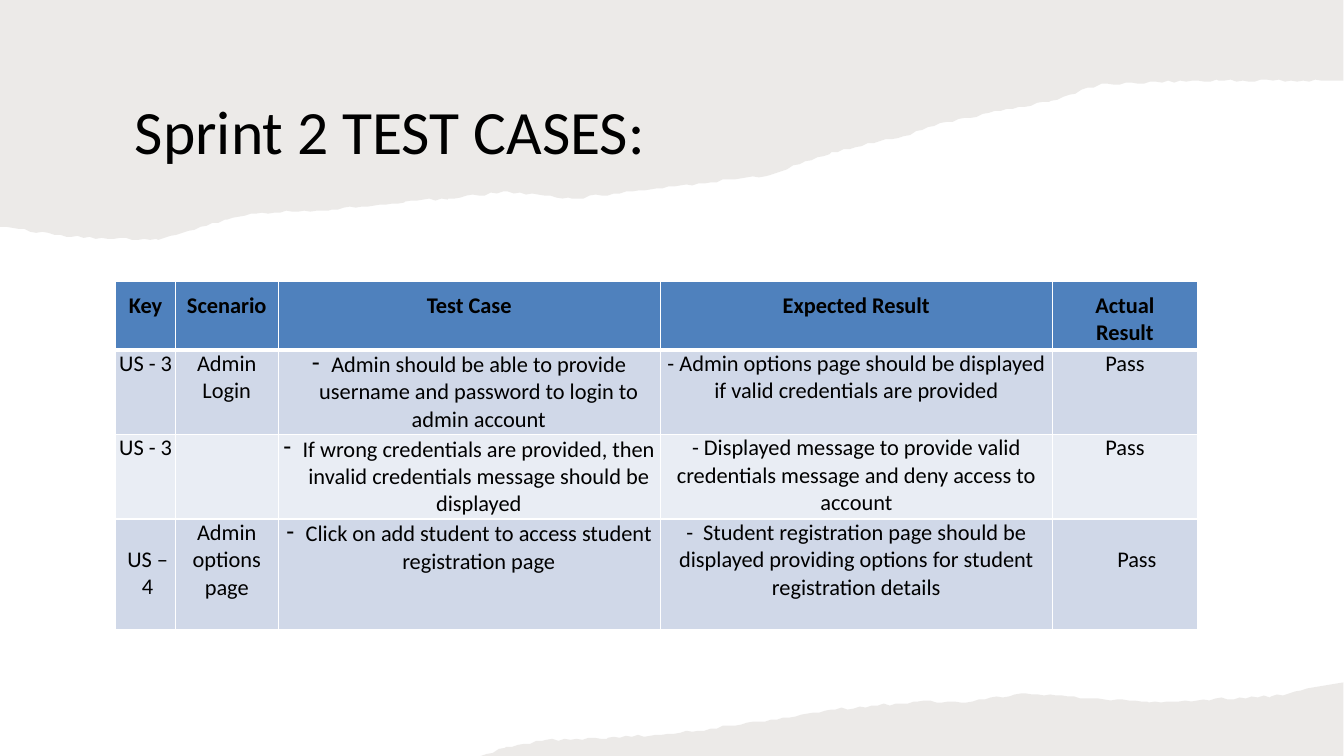
from dataclasses import dataclass
from itertools import pairwise
from math import sin

from lxml.etree import SubElement
from pptx import Presentation
from pptx.dml.color import RGBColor as RGB
from pptx.enum.text import MSO_ANCHOR as Anchor, PP_ALIGN as Align
from pptx.oxml.ns import qn
from pptx.util import Cm, Pt


@dataclass(frozen=True)
class Theme:
    font: str = "Calibri"
    title_size: int = 44
    table_size: int = 16
    ink: RGB = RGB.from_string("000000")
    paper: RGB = RGB.from_string("82766A")
    paper_alpha: int = 15
    header: RGB = RGB.from_string("4F81BD")
    bands: tuple = (RGB.from_string("D0D8E8"), RGB.from_string("E9EDF4"))
    rule: str = "FFFFFF"


theme = Theme()


def add_run(paragraph, text, size, bold=False):
    run = paragraph.add_run()
    run.text = text
    run.font.name = theme.font
    run.font.size = Pt(size)
    run.font.bold = bold
    run.font.color.rgb = theme.ink


def add_border(cell, side, width):
    line = SubElement(cell._tc.get_or_add_tcPr(), qn(f"a:ln{side}"), w=str(Pt(width)))
    SubElement(SubElement(line, qn("a:solidFill")), qn("a:srgbClr"), val=theme.rule)


deck = Presentation()
deck.slide_width, deck.slide_height = Cm(33.87), Cm(19.05)
slide = deck.slides.add_slide(deck.slide_layouts[6])
shapes = slide.shapes

# Torn paper bands in hundredths of an inch: edge from left to right, then corners
top_edge = [
    (0, 225), (71, 235), (157, 238), (225, 218), (254, 212), (329, 208), (402, 200),
    (445, 197), (504, 190), (567, 197), (633, 189), (763, 174), (825, 151), (897, 135),
    (939, 121), (1043, 100), (1093, 83), (1209, 80), (1333, 80),
]
bottom_edge = [
    (477, 750), (502, 741), (542, 734), (603, 732), (669, 728), (753, 716), (829, 704),
    (911, 696), (959, 697), (1018, 688), (1140, 697), (1261, 691), (1333, 677),
]
bands = [(top_edge, [(1333, 0), (0, 0)]), (bottom_edge, [(1333, 750)])]
ripple_step = 6
for edge, corners in bands:
    outline = [edge[0]]
    for (x1, y1), (x2, y2) in pairwise(edge):
        for x in range(x1 + ripple_step, x2, ripple_step):
            y = y1 + (y2 - y1) * (x - x1) / (x2 - x1)
            outline.append((x, y + sin(x * x)))
        outline.append((x2, y2))
    builder = shapes.build_freeform(*outline[0], scale=Cm(2.54) / 100)
    builder.add_line_segments(outline[1:] + corners)
    band = builder.convert_to_shape()
    band.shadow.inherit = False
    band.line.fill.background()
    band.fill.solid()
    band.fill.fore_color.rgb = theme.paper
    paper_color = band._element.spPr.find(f"{qn('a:solidFill')}/{qn('a:srgbClr')}")
    SubElement(paper_color, qn("a:alpha"), val=str(theme.paper_alpha * 1000))

# Title
title = shapes.add_textbox(Cm(3.15), Cm(2.06), Cm(25.76), Cm(2.64)).text_frame
title.word_wrap = True
title.vertical_anchor = Anchor.MIDDLE
title.paragraphs[0].line_spacing = 0.9
add_run(title.paragraphs[0], "Sprint 2 TEST CASES:", theme.title_size)

# Test case table
rows = [
    ("Key", "Scenario", "Test Case", "Expected Result", "Actual Result"),
    ("US - 3", "Admin Login",
     "Admin should be able to provide username and password to login to admin account",
     "- Admin options page should be displayed if valid credentials are provided", "Pass"),
    ("US - 3", "",
     "If wrong credentials are provided, then invalid credentials message should be displayed",
     "- Displayed message to provide valid credentials message and deny access to account",
     "Pass"),
    ("US – 4", "Admin options page",
     "Click on add student to access student registration page",
     "-  Student registration page should be displayed providing options for student "
     "registration details", "Pass"),
]
widths = (1.5, 2.59, 9.63, 9.88, 3.66)
heights = (1.73, 2.13, 2.13, 2.79)
# Left, top and right cell margins that differ from the rule
insets = {(0, 4): (0.69, 0.27, 0.69), (3, 0): (0.1, 0.68, 0), (3, 4): (0.6, 0.68, 0)}
bullet_column = 2

table = shapes.add_table(len(rows), len(widths), Cm(2.92), Cm(7.09),
                         Cm(sum(widths)), Cm(sum(heights))).table
table.first_row = table.horz_banding = False
for column, width in zip(table.columns, widths):
    column.width = Cm(width)

for r, (texts, height) in enumerate(zip(rows, heights)):
    table.rows[r].height = Cm(height)
    is_header = r == 0
    for c, text in enumerate(texts):
        cell = table.cell(r, c)
        default_top = 0.28 if is_header else 0.03 if c == bullet_column else 0
        left, top, right = insets.get((r, c), (0, default_top, 0))
        cell.margin_left, cell.margin_top, cell.margin_right = Cm(left), Cm(top), Cm(right)
        cell.margin_bottom = 0
        for side in "LRTB":
            thick = (is_header and side == "B") or (r == 1 and side == "T")
            add_border(cell, side, 3 if thick else 1)
        cell.fill.solid()
        cell.fill.fore_color.rgb = theme.header if is_header else theme.bands[(r - 1) % 2]

        paragraph = cell.text_frame.paragraphs[0]
        paragraph.alignment = Align.CENTER
        if c == bullet_column and not is_header:
            properties = paragraph._p.get_or_add_pPr()
            properties.set("marL", str(Cm(0.48)))
            properties.set("indent", str(-Cm(0.48)))
            SubElement(properties, qn("a:buChar"), char="-")
        if text:
            add_run(paragraph, text, theme.table_size, is_header)
        else:
            paragraph.font.size = Pt(theme.table_size)

deck.save("out.pptx")
